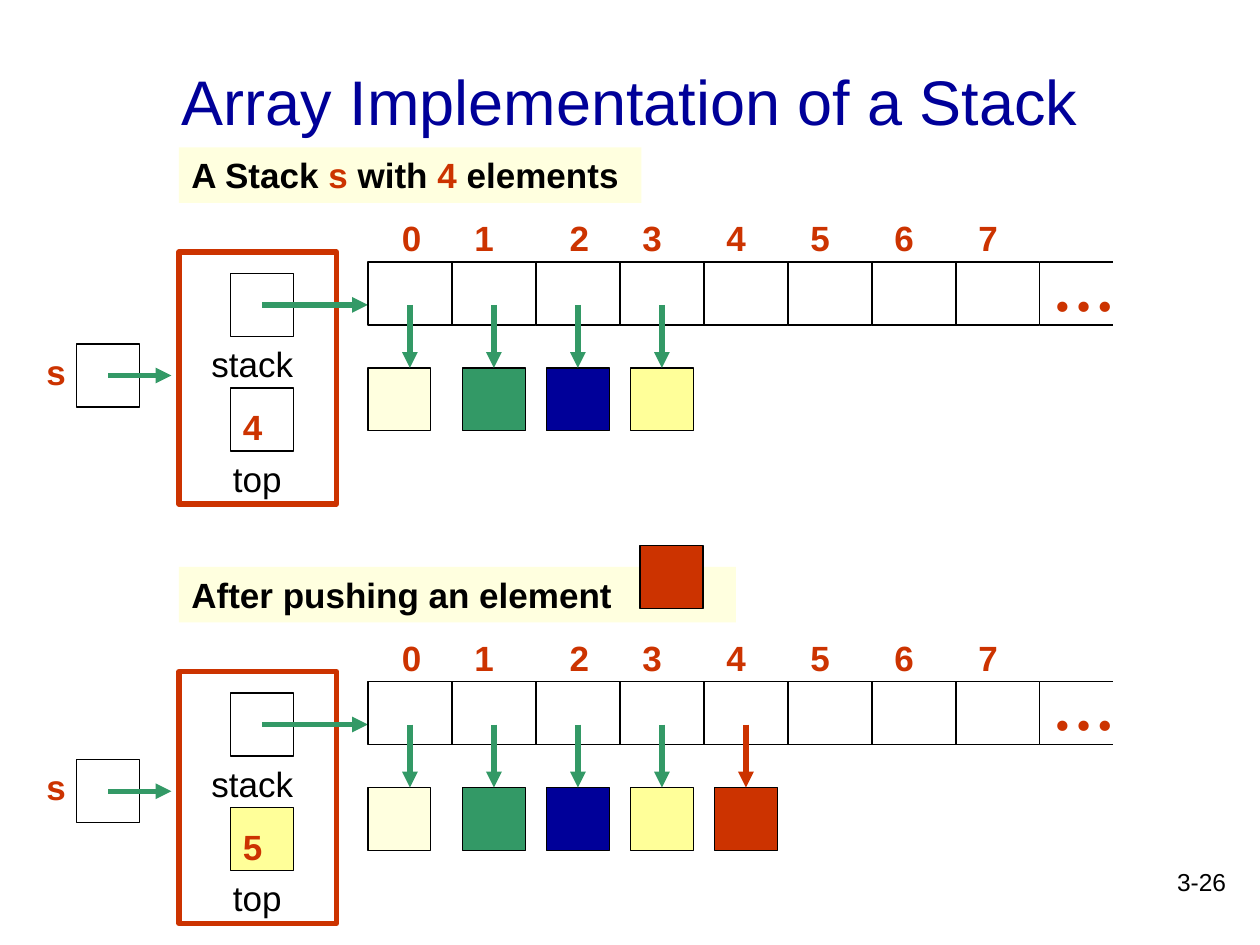
from lxml.etree import SubElement
from pptx import Presentation
from pptx.dml.color import RGBColor
from pptx.enum.shapes import MSO_CONNECTOR, MSO_SHAPE
from pptx.enum.text import MSO_ANCHOR, PP_ALIGN
from pptx.oxml.ns import qn
from pptx.util import Inches, Pt

BLACK = RGBColor(0x00, 0x00, 0x00)
NAVY = RGBColor(0x00, 0x00, 0x99)
RED = RGBColor(0xCC, 0x33, 0x00)
GREEN = RGBColor(0x33, 0x99, 0x66)
YELLOW = RGBColor(0xFF, 0xFF, 0x99)
CREAM = RGBColor(0xFF, 0xFF, 0xDF)

ELEMENT_COLORS = [CREAM, GREEN, NAVY, YELLOW, RED]
CELL_COUNT = 8
CELL_WIDTH = 2 / 3
ARRAY_LEFT = 2.92
SIDE = 0.5
TEXT_HEIGHT = 0.44


def style_run(span, color=BLACK, size=20, bold=False, name="Arial"):
    span.font.name = name
    span.font.size = Pt(size)
    span.font.bold = bold
    span.font.color.rgb = color


def add_label(page, text, left, top, width, height=TEXT_HEIGHT, align=PP_ALIGN.LEFT, **style):
    box = page.shapes.add_textbox(Inches(left), Inches(top), Inches(width), Inches(height))
    box.text_frame.word_wrap = True
    box.text_frame.text = text
    para = box.text_frame.paragraphs[0]
    para.alignment = align
    style_run(para.runs[0], **style)


def add_box(page, left, top, width=SIDE, height=SIDE, fill=None, line=BLACK, weight=0.75):
    box = page.shapes.add_shape(
        MSO_SHAPE.RECTANGLE, Inches(left), Inches(top), Inches(width), Inches(height))
    box.shadow.inherit = False
    if fill is None:
        box.fill.background()
    else:
        box.fill.solid()
        box.fill.fore_color.rgb = fill
    if line is None:
        box.line.fill.background()
    else:
        box.line.color.rgb = line
        box.line.width = Pt(weight)
    return box


def add_line(page, start, end, color=BLACK, weight=0.75):
    line = page.shapes.add_connector(
        MSO_CONNECTOR.STRAIGHT, *(Inches(value) for value in (*start, *end)))
    line.line.color.rgb = color
    line.line.width = Pt(weight)
    SubElement(line._element.spPr, qn("a:effectLst"))
    return line


def add_arrow(page, start, end, color=GREEN):
    arrow = add_line(page, start, end, color, 3)
    SubElement(arrow.line._get_or_add_ln(), qn("a:tailEnd"), type="triangle")
    return arrow


def add_banner(page, top, width, parts):
    box = add_box(page, 1.42, top, width, TEXT_HEIGHT, fill=CREAM, line=None)
    box.text_frame.word_wrap = True
    box.text_frame.vertical_anchor = MSO_ANCHOR.TOP
    para = box.text_frame.paragraphs[0]
    para.alignment = PP_ALIGN.LEFT
    for text, color in parts:
        span = para.add_run()
        span.text = text
        style_run(span, color, bold=True)


def add_pointer(page, top):
    """The variable s, pointing at the stack object."""
    add_label(page, "s", 0.27, top, 0.5, color=RED, bold=True)
    add_box(page, 0.61, top)
    add_arrow(page, (0.86, top + 0.25), (1.36, top + 0.25))


def add_stack_object(page, top, count, count_fill):
    """The object with its two fields, stack and top."""
    add_box(page, 1.42, top, 1.25, 2, line=RED, weight=3)
    add_box(page, 1.83, top + 0.17)
    add_label(page, "stack", 1.58, top + 0.67, 1)
    add_box(page, 1.83, top + 1.08, fill=count_fill)
    add_label(page, str(count), 1.83, top + 1.17, 0.39, color=RED, bold=True)
    add_label(page, "top", 1.75, top + 1.58, 0.75)
    add_arrow(page, (2.08, top + 0.42), (ARRAY_LEFT, top + 0.42))


def add_array(page, top):
    """Numbered cells with an open right end."""
    for index in range(CELL_COUNT):
        left = ARRAY_LEFT + index * CELL_WIDTH
        add_box(page, left, top, CELL_WIDTH)
        label_shift = 0.17 if index in (0, 2) else 0.08
        add_label(page, str(index), left + label_shift, top - 0.41, 0.42, color=RED, bold=True)
    end = ARRAY_LEFT + CELL_COUNT * CELL_WIDTH
    for y in (top, top + SIDE):
        add_line(page, (end, y), (end + 0.58, y))
    add_label(page, "…", end, top - 0.16, 0.67, 0.7,
              color=RED, size=36, bold=True, name="Times New Roman")


def add_elements(page, top, count):
    """Stored elements, each with an arrow from its cell."""
    for index, color in enumerate(ELEMENT_COLORS[:count]):
        cell_left = ARRAY_LEFT + index * CELL_WIDTH
        center = cell_left + CELL_WIDTH / 2
        left = center - SIDE / 2 if index else cell_left
        element = add_box(page, left, top, fill=color)
        arrow = add_arrow(page, (center, top - 0.5), (center, top),
                          RED if color == RED else GREEN)
        if index:
            arrow.end_connect(element, 0)


def add_stack_diagram(page, top, pointer_top, count, count_fill=None):
    add_stack_object(page, top, count, count_fill)
    add_array(page, top + 0.08)
    add_elements(page, top + 0.92, count)
    add_pointer(page, pointer_top)


def add_title(page, text):
    title = page.shapes.title
    title.left, title.top = Inches(0.75), Inches(0.17)
    title.width, title.height = Inches(8.5), Inches(1.25)
    title.text_frame.text = text
    title.text_frame.vertical_anchor = MSO_ANCHOR.MIDDLE
    para = title.text_frame.paragraphs[0]
    para.alignment = PP_ALIGN.CENTER
    style_run(para.runs[0], NAVY, 36)


def main():
    deck = Presentation()
    deck.slide_width, deck.slide_height = Inches(10), Inches(7.5)
    page = deck.slides.add_slide(deck.slide_layouts[5])

    add_title(page, "Array Implementation of a Stack")
    add_label(page, "3-26", 7.75, 6.83, 2.08, 0.5, align=PP_ALIGN.RIGHT, size=14)

    # Before the push
    add_banner(page, 1.17, 3.67, [("A Stack ", BLACK), ("s", RED), (" with ", BLACK),
                                  ("4", RED), (" elements", BLACK)])
    add_stack_diagram(page, 2, 2.73, 4)

    # After the push
    add_banner(page, 4.5, 4.42, [("After pushing an element", BLACK)])
    add_box(page, 5.08, 4.33, fill=RED)
    add_stack_diagram(page, 5.33, 6.03, 5, YELLOW)

    deck.save("out.pptx")


if __name__ == "__main__":
    main()
